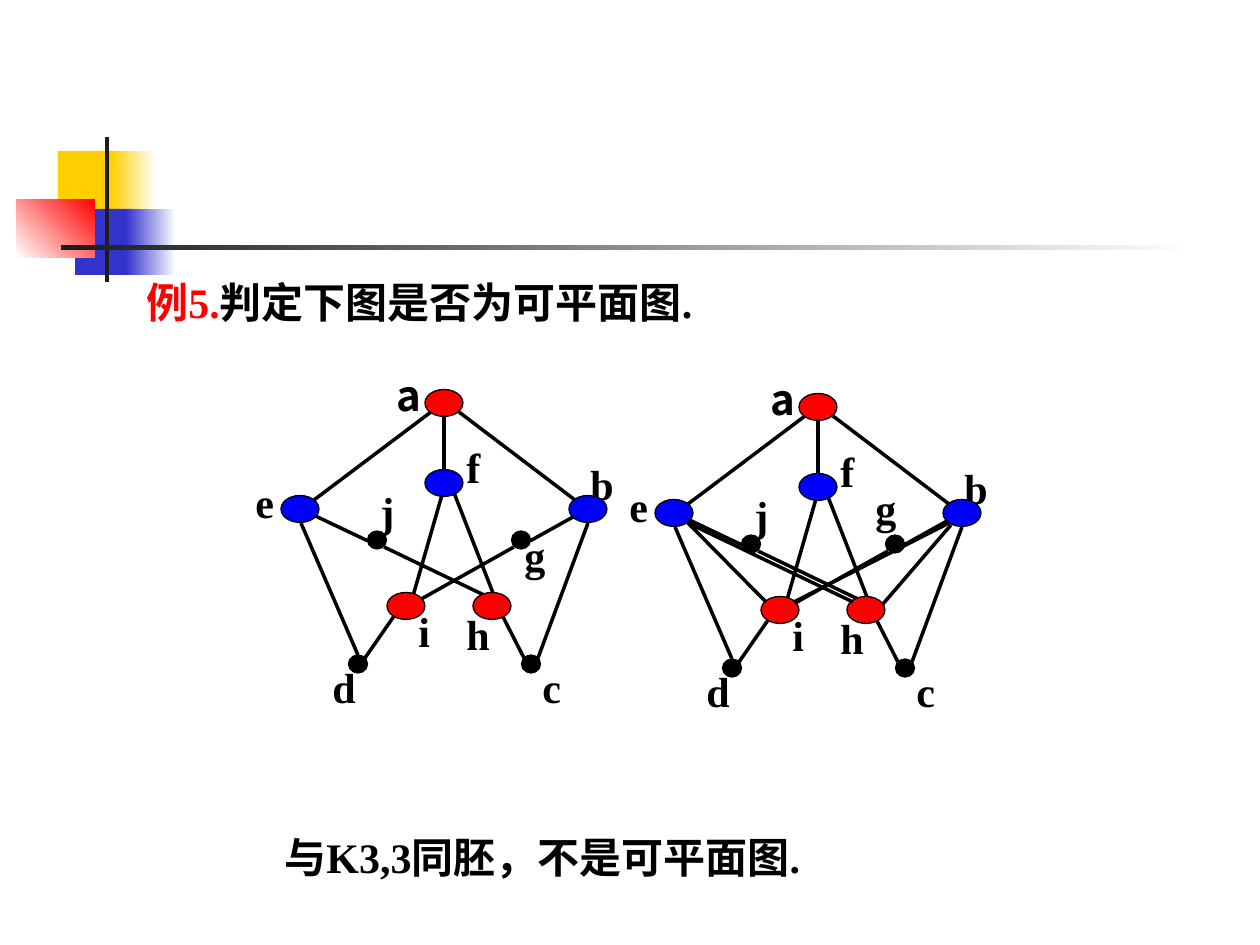
from lxml import etree
from pptx import Presentation
from pptx import util as u
from pptx.dml.color import RGBColor
from pptx.enum import shapes, text
from pptx.oxml import ns

SCALE = 914400 / 126
BLACK, RED, BLUE, WHITE = "000000", "FF0000", "0000FF", "FFFFFF"
LATIN, CHINESE = "Times New Roman", "Noto Sans CJK SC"
NODE_SIZE, DOT_SIZE = (38, 27), (19, 18)
LABEL_HEIGHT = 63

DECORATIONS = [
    ((58, 151, 60, 66), ["FFCF01"], 0),
    ((111, 151, 45, 66), ["FFCF01", WHITE], 0),
    ((75, 209, 58, 66), ["3333CC"], 0),
    ((126, 209, 50, 66), ["3333CC", WHITE], 0),
    ((17, 199, 78, 59), [WHITE, RED], 45),
    ((105, 137, 4, 145), ["1C1C1C"], 0),
    ((61, 245, 1134, 5), ["1C1C1C", WHITE], 0),
]
LABELS = {
    "c": (530, 655, 44), "d": (320, 655, 48), "b": (578, 452, 48),
    "a": (384, 363, 50), "e": (243, 470, 44), "f": (454, 435, 39),
    "g": (512, 523, 45), "h": (454, 602, 48), "i": (406, 599, 37),
    "j": (368, 479, 39),
}
DOTS = [(377, 540), (521, 540), (531, 664), (358, 664)]
NODES = [
    (444, 403, RED), (406, 606, RED), (492, 606, RED),
    (444, 483, BLUE), (300, 509, BLUE), (588, 509, BLUE),
]
INNER_EDGES = [
    (444, 417, 444, 470), (582, 512, 530, 541), (524, 658, 499, 609),
    (365, 658, 399, 609), (307, 512, 368, 541), (444, 488, 413, 596),
    (451, 485, 493, 593), (486, 596, 384, 547), (416, 602, 514, 547),
]
OUTER_EDGES = [
    (314, 500, 431, 412), (459, 412, 575, 500),
    (358, 655, 301, 523), (538, 658, 588, 523),
]
CONTRACTED_EDGES = [
    (314, 519, 392, 598), (509, 600, 577, 521),
    (314, 519, 479, 598), (420, 598, 575, 519),
]


def px(*lengths):
    """Turn pixel lengths into EMU."""
    return [round(length * SCALE) for length in lengths]


def color(value):
    """Return the colour of a hex string."""
    return RGBColor.from_string(value)


def add_decoration(container, box, colors, angle):
    """Add a borderless rectangle with a solid or gradient fill."""
    shape = container.add_shape(shapes.MSO_SHAPE.RECTANGLE, *px(*box))
    shape.shadow.inherit = False
    shape.line.fill.background()
    if len(colors) == 1:
        shape.fill.solid()
        shape.fill.fore_color.rgb = color(colors[0])
        return
    shape.fill.gradient()
    shape.fill.gradient_angle = angle
    for stop, value in zip(shape.fill.gradient_stops, colors):
        stop.color.rgb = color(value)


def add_vertex(container, center, size, fill):
    """Add an outlined ellipse around a center point."""
    left, top = (middle - length / 2 for middle, length in zip(center, size))
    shape = container.add_shape(shapes.MSO_SHAPE.OVAL, *px(left, top, *size))
    shape.shadow.inherit = False
    shape.fill.solid()
    shape.fill.fore_color.rgb = color(fill)
    shape.line.color.rgb = color(BLACK)
    shape.line.width = u.Pt(0.75)


def add_edge(container, ends):
    """Add a straight black line between two points."""
    connector = container.add_connector(shapes.MSO_CONNECTOR.STRAIGHT, *px(*ends))
    connector.line.color.rgb = color(BLACK)
    connector.line.width = u.Pt(2)
    etree.SubElement(connector._element.spPr, ns.qn("a:effectLst"))


def add_text(container, box, runs, font_name=LATIN):
    """Add a one-line bold text box from (text, colour) runs."""
    frame = container.add_textbox(*px(*box)).text_frame
    frame.word_wrap = False
    frame.auto_size = text.MSO_AUTO_SIZE.SHAPE_TO_FIT_TEXT
    for wording, value in runs:
        run = frame.paragraphs[0].add_run()
        run.text = wording
        run.font.size = u.Pt(24)
        run.font.bold = True
        run.font.color.rgb = color(value)
        run.font.name = font_name
        east_asian = etree.SubElement(run.font._element, ns.qn("a:ea"))
        east_asian.set("typeface", CHINESE)


def add_graph(container, shift_x, shift_y, labels, extra_edges):
    """Draw the ten-vertex graph, moved by the given shift."""
    def move(ends):
        """Shift both ends of an edge."""
        x1, y1, x2, y2 = ends
        return x1 + shift_x, y1 + shift_y, x2 + shift_x, y2 + shift_y

    for letter, (left, top, width) in labels.items():
        box = (left + shift_x, top + shift_y, width, LABEL_HEIGHT)
        add_text(container, box, [(letter, BLACK)], CHINESE if letter == "a" else LATIN)
    for x, y in DOTS:
        add_vertex(container, (x + shift_x, y + shift_y), DOT_SIZE, BLACK)
    for ends in INNER_EDGES:
        add_edge(container, move(ends))
    for x, y, fill in NODES:
        add_vertex(container, (x + shift_x, y + shift_y), NODE_SIZE, fill)
    for ends in OUTER_EDGES + extra_edges:
        add_edge(container, move(ends))


def main():
    """Build and save the slide."""
    presentation = Presentation()
    presentation.slide_width, presentation.slide_height = px(1260, 945)
    slide = presentation.slides.add_slide(presentation.slide_layouts[6])
    for box, colors, angle in DECORATIONS:
        add_decoration(slide.shapes, box, colors, angle)
    add_graph(slide.shapes.add_group_shape().shapes, 0, 0, LABELS, [])
    add_graph(slide.shapes, 374, 4, {**LABELS, "g": (489, 472, 45)}, CONTRACTED_EDGES)
    add_text(slide.shapes, (134, 270, 611, 63),
             [("例5.", RED), ("判定下图是否为可平面图.", BLACK)])
    add_text(slide.shapes, (272, 825, 581, 63),
             [("与K3,3同胚，不是可平面图.", BLACK)])
    presentation.save("out.pptx")


if __name__ == "__main__":
    main()
